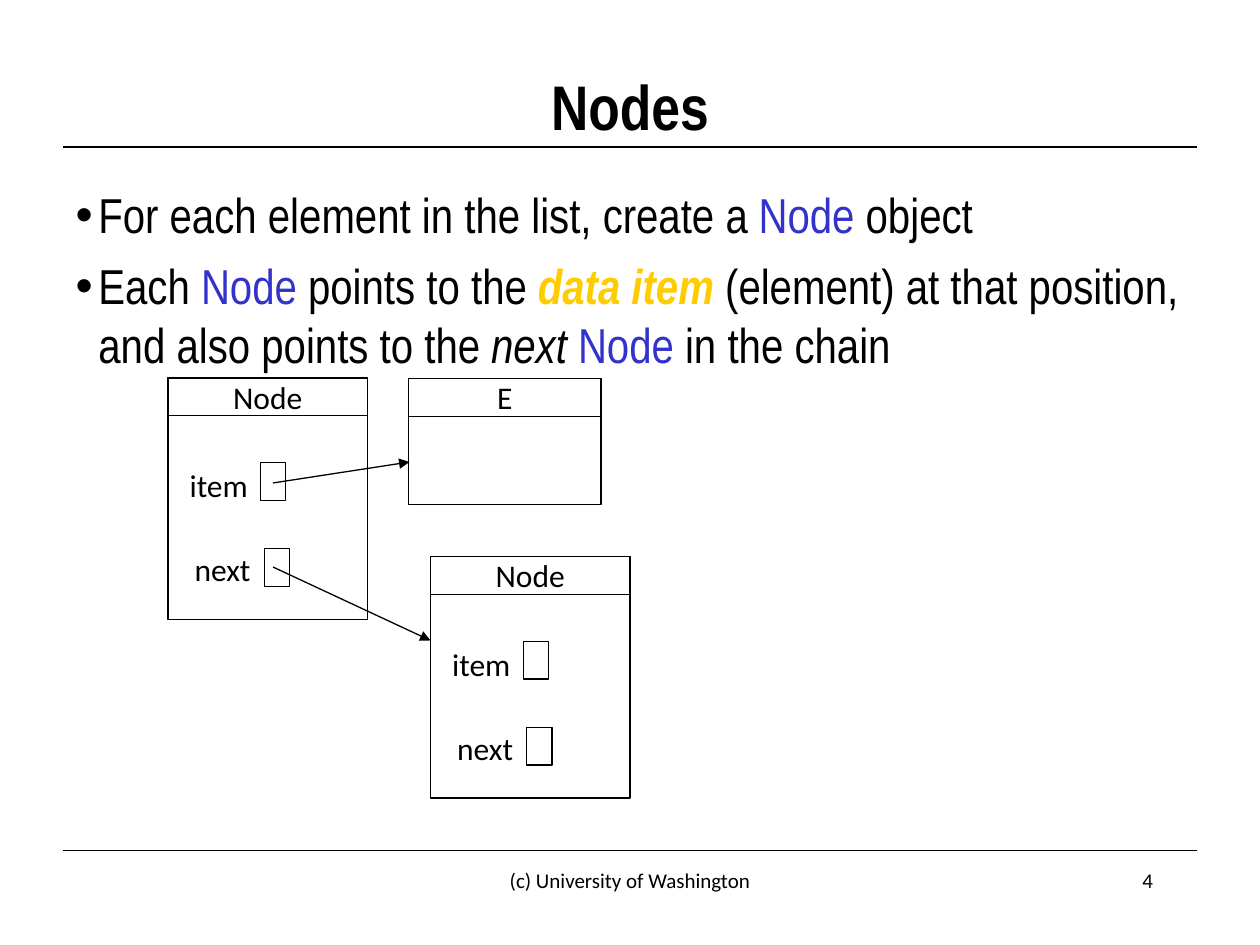
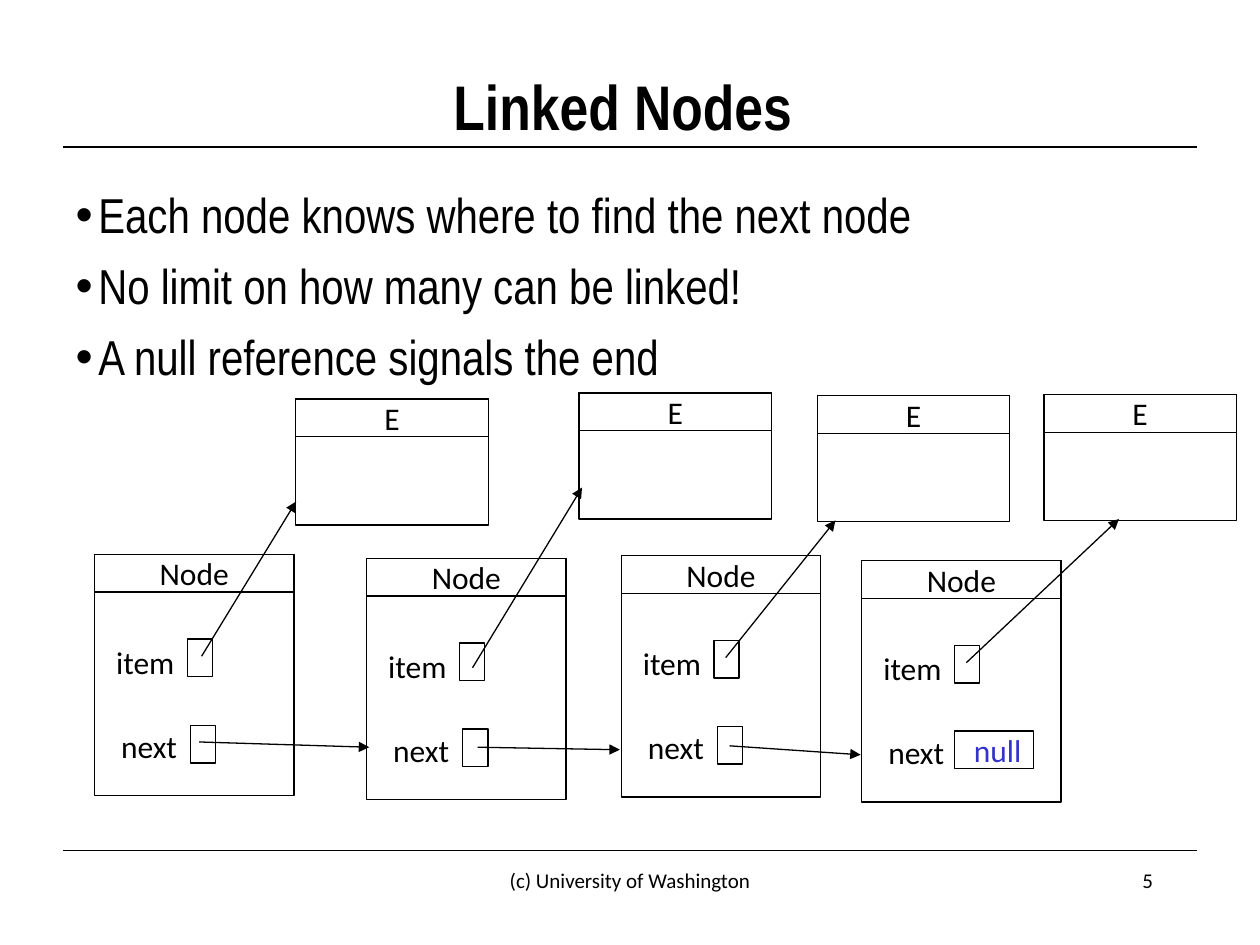
from lxml import etree
from pptx import Presentation
from pptx.dml.color import RGBColor
from pptx.enum.shapes import MSO_CONNECTOR, MSO_SHAPE
from pptx.enum.text import MSO_ANCHOR, MSO_AUTO_SIZE, PP_ALIGN
from pptx.oxml.ns import qn
from pptx.util import Pt

BLACK = RGBColor(0x00, 0x00, 0x00)
BLUE = RGBColor(0x33, 0x33, 0xCC)
GOLD = RGBColor(0xFF, 0xCC, 0x00)

LEFT, CENTER, RIGHT = PP_ALIGN.LEFT, PP_ALIGN.CENTER, PP_ALIGN.RIGHT
TOP, MIDDLE = MSO_ANCHOR.TOP, MSO_ANCHOR.MIDDLE
NO_FIT = MSO_AUTO_SIZE.NONE
STRAIGHT, RECTANGLE = MSO_CONNECTOR.STRAIGHT, MSO_SHAPE.RECTANGLE

TITLE = {"name": "Arial Narrow", "size": Pt(36), "bold": True, "color": BLACK}
BODY = {"name": "Arial Narrow", "size": Pt(28), "color": BLACK}
CODE = {**BODY, "color": BLUE}
KEY_TERM = {**BODY, "color": GOLD, "bold": True, "italic": True}
STRESS = {**BODY, "italic": True}
LABEL = {"name": "Calibri", "size": Pt(18), "color": BLACK}
NULL = {**LABEL, "color": BLUE}
FOOTER = {"name": "Calibri", "size": Pt(12), "color": BLACK}

LINE_WIDTH = 0.75
RULE_LEFT, RULE_RIGHT, RULE_TOPS = 36, 684, (84, 486)
NODE_WIDTH, NODE_HEIGHT = 114, 138
ELEMENT_WIDTH, ELEMENT_HEIGHT = 110, 72
ROW_HEIGHT, CELL_WIDTH, NULL_WIDTH = 21.6, 14.4, 45.4


def place(shape, left, top, width, height):
    shape.left, shape.top = Pt(left), Pt(top)
    shape.width, shape.height = Pt(width), Pt(height)


def add_span(para, text, style):
    span = para.add_run()
    span.text = text
    for key, value in style.items():
        if key == "color":
            span.font.color.rgb = value
        else:
            setattr(span.font, key, value)


def set_frame(shape, anchor=TOP, margins=(7.2, 3.6, 7.2, 3.6), wrap=True):
    frame = shape.text_frame
    frame.auto_size = NO_FIT
    frame.word_wrap = wrap
    frame.vertical_anchor = anchor
    for side, margin in zip(("left", "top", "right", "bottom"), margins):
        setattr(frame, f"margin_{side}", Pt(margin))
    return frame


def write_line(shape, text, style, align, **frame_format):
    para = set_frame(shape, **frame_format).paragraphs[0]
    para.alignment = align
    add_span(para, text, style)


def add_text(page, left, top, width, height, text, style, align, **frame_format):
    box = page.shapes.add_textbox(Pt(left), Pt(top), Pt(width), Pt(height))
    write_line(box, text, style, align, **frame_format)


def add_box(page, left, top, width, height, text="", style=LABEL, inset=0):
    box = page.shapes.add_shape(RECTANGLE, Pt(left), Pt(top), Pt(width), Pt(height))
    box.shadow.inherit = False
    box.fill.background()
    box.line.color.rgb = BLACK
    box.line.width = Pt(LINE_WIDTH)
    if text:
        write_line(box, text, style, CENTER, margins=(inset, 0, 0, 0))


def add_line(page, start, end, arrow=False):
    line = page.shapes.add_connector(STRAIGHT, *map(Pt, start + end))
    line.line.color.rgb = BLACK
    line.line.width = Pt(LINE_WIDTH)
    if arrow:
        etree.SubElement(line.line._get_or_add_ln(), qn("a:tailEnd"), type="triangle")
    etree.SubElement(line._element.spPr, qn("a:effectLst"))


def add_node(page, left, top, last=False):
    """Draw a node record; the last one holds null instead of a next cell."""
    add_box(page, left, top, NODE_WIDTH, NODE_HEIGHT)
    add_box(page, left, top, NODE_WIDTH, ROW_HEIGHT, "Node")
    for name, x, y in (("item", 10, 50.6), ("next", 12.2, 98.6)):
        add_text(page, left + x, top + y, 38, ROW_HEIGHT, name, LABEL, CENTER,
                 margins=(0, 0, 0, 0), wrap=False)
    add_box(page, left + 53, top + 48.4, CELL_WIDTH, ROW_HEIGHT)
    if last:
        add_box(page, left + 53, top + 97.4, NULL_WIDTH, ROW_HEIGHT, "null", NULL, inset=4)
    else:
        add_box(page, left + 55, top + 97.6, CELL_WIDTH, ROW_HEIGHT)


def add_element(page, left, top):
    add_box(page, left, top, ELEMENT_WIDTH, ROW_HEIGHT, "E")
    add_box(page, left, top, ELEMENT_WIDTH, ELEMENT_HEIGHT)


def add_bullets(body, bullets):
    place(body, 36, 102, 648, 384)
    frame = set_frame(body)
    for index, spans in enumerate(bullets):
        para = frame.add_paragraph() if index else frame.paragraphs[0]
        para.alignment = LEFT
        para.space_before = Pt(7 if index else 0)
        properties = para._p.get_or_add_pPr()
        properties.set("marL", str(Pt(13)))
        properties.set("indent", str(-Pt(13)))
        for text, style in spans:
            add_span(para, text, style)


def add_page(deck, number, title, bullets):
    page = deck.slides.add_slide(deck.slide_layouts[1])
    place(page.shapes.title, 36, 36, 648, 48)
    write_line(page.shapes.title, title, TITLE, CENTER, anchor=MIDDLE)
    add_bullets(page.placeholders[1], bullets)
    for top in RULE_TOPS:
        add_line(page, (RULE_LEFT, top), (RULE_RIGHT, top))
    add_text(page, 246, 492, 228, 36, "(c) University of Washington", FOOTER, CENTER)
    add_text(page, 516, 492, 150, 36, str(number), FOOTER, RIGHT)
    return page


def add_diagram(page, nodes, elements, arrows, ends_in_null=False):
    for index, corner in enumerate(nodes, 1):
        add_node(page, *corner, last=ends_in_null and index == len(nodes))
    for corner in elements:
        add_element(page, *corner)
    for start, end in arrows:
        add_line(page, start, end, arrow=True)


def build_nodes_page(deck):
    page = add_page(deck, 4, "Nodes", [
        [("For each element in the list, create a ", BODY), ("Node", CODE),
         (" object", BODY)],
        [("Each ", BODY), ("Node", CODE), (" points to the ", BODY),
         ("data item ", KEY_TERM),
         ("(element) at that position, and also points to the ", BODY),
         ("next ", STRESS), ("Node", CODE), (" in the chain", BODY)],
    ])
    add_diagram(
        page,
        nodes=[(96, 216), (246, 318)],
        elements=[(233.4, 216.3)],
        arrows=[((156, 276), (234, 264)), ((156, 324), (246, 366))],
    )


def build_linked_nodes_page(deck):
    page = add_page(deck, 5, "Linked Nodes ", [
        [("Each node knows where to find the next node", BODY)],
        [("No limit on how many can be linked!", BODY)],
        [("A null reference signals the end", BODY)],
    ])
    item_arrows = [
        ((115.2, 375), (169.2, 286.6)),
        ((270, 381.6), (332.6, 278.6)),
        ((414.7, 375.8), (477.4, 297.4)),
        ((552.2, 378.7), (639.4, 296.6)),
    ]
    next_arrows = [
        ((113.8, 424), (211, 427)),
        ((272.9, 427), (354.2, 428.4)),
        ((416.9, 426.2), (491.8, 431.3)),
    ]
    add_diagram(
        page,
        nodes=[(54, 316.8), (209.5, 319), (355, 317.5), (492.4, 320.4)],
        elements=[(169, 228), (330.9, 224.6), (467, 226.1), (596.5, 225.4)],
        arrows=item_arrows + next_arrows,
        ends_in_null=True,
    )


def main():
    deck = Presentation()
    deck.slide_width, deck.slide_height = Pt(720), Pt(540)
    build_nodes_page(deck)
    build_linked_nodes_page(deck)
    deck.save("out.pptx")


if __name__ == "__main__":
    main()
